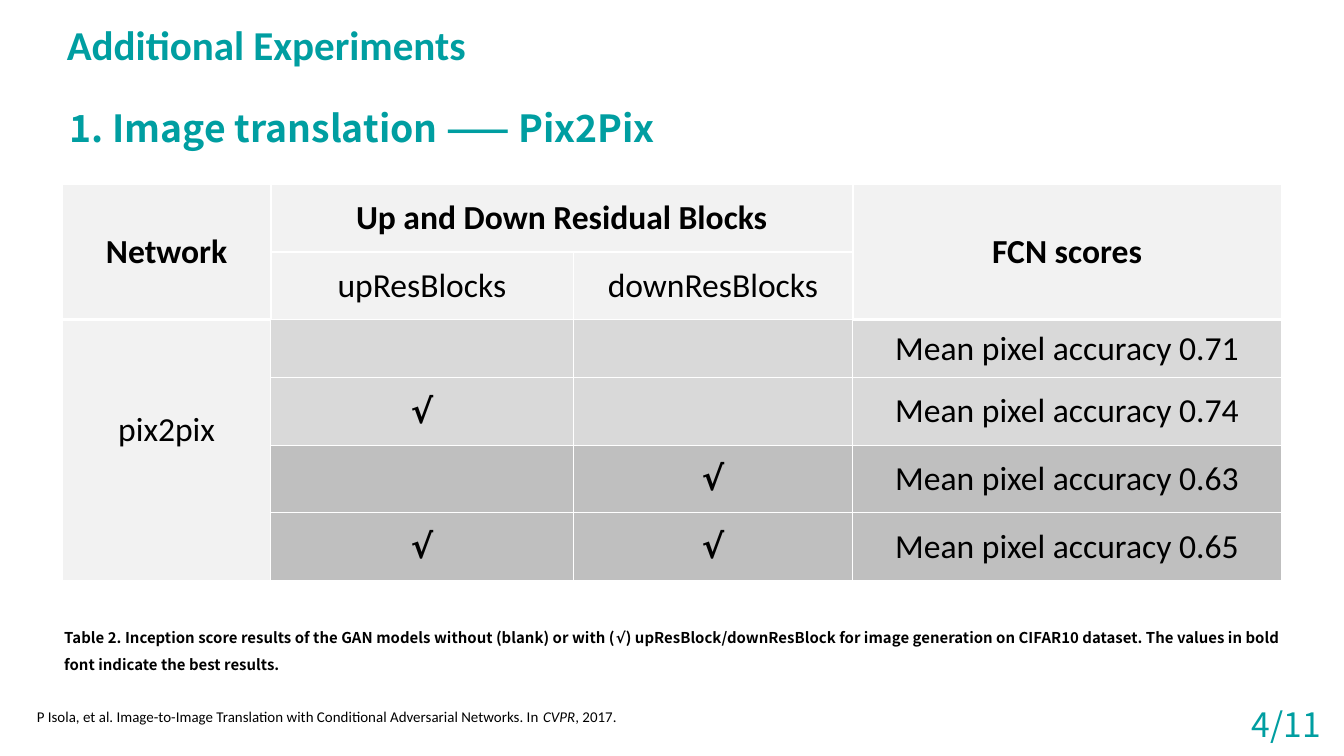
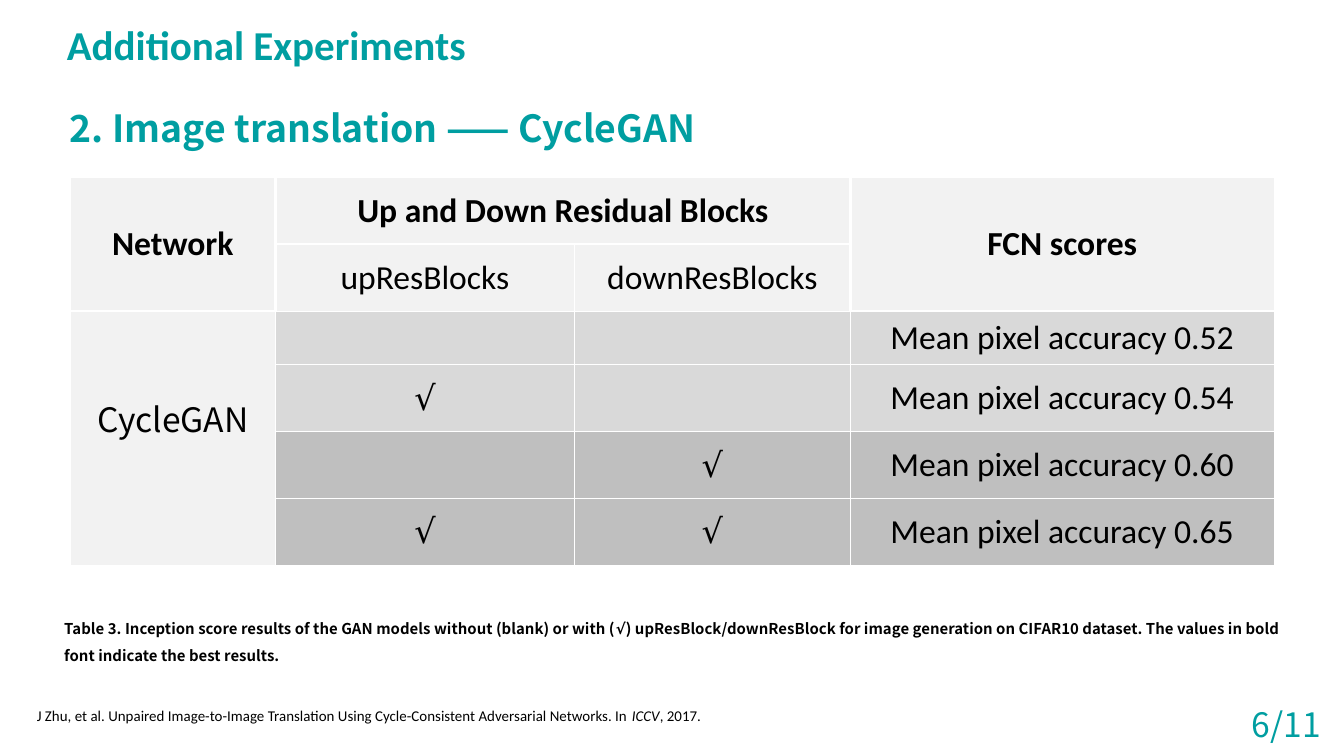
from dataclasses import dataclass
from itertools import product
from typing import NamedTuple

from lxml.etree import SubElement
from pptx import Presentation
from pptx.dml.color import RGBColor
from pptx.enum.text import MSO_ANCHOR, MSO_AUTO_SIZE, PP_ALIGN
from pptx.oxml.ns import qn
from pptx.util import Inches, Pt

# Shared style: lengths are columns and rows, each a hundredth of the slide
WIDTH = 10
HEIGHT = WIDTH * 9 / 16
COLORS = {"teal": "009EA1", "black": "000000", "white": "FFFFFF",
          "header": "F2F2F2", "light": "D9D9D9", "dark": "BFBFBF"}
BODY, SANS, TICK = "Calibri", "Noto Sans CJK SC", "Cabin"
CHECK = "√"
THIN, THICK = 0.45, 1.47
COLUMN_SHARES = (15.5, 22.5, 20.8, 31.9)
HEADER_ROWS, TABLE_ROWS = 2, 6
SHORT_ROW = HEADER_ROWS


class Box(NamedTuple):
    left: float
    top: float
    width: float
    height: float


class Style(NamedTuple):
    size: float
    font: str
    color: str = "black"
    bold: bool = False
    italic: bool = False


class Piece(NamedTuple):
    text: str
    style: Style


class Score(NamedTuple):
    up: bool
    down: bool
    accuracy: str


@dataclass
class Experiment:
    subtitle: str
    page: str
    network: str
    network_font: str
    bold_ticks: bool
    table_left: float
    table_top: float
    table_width: float
    row_height: float
    short_row_height: float
    accuracies: tuple[str, ...]
    table_number: int
    caption_top: float
    citation: str
    venue: str
    citation_top: float


HEADING = Style(22, BODY, "teal", True)
SUBHEADING = Style(20, SANS, "teal", True)
PAGE_NUMBER = Style(18, SANS, "teal")
CELL = Style(18, BODY)
CELL_BOLD = CELL._replace(bold=True)
CAPTION = Style(8, SANS, bold=True)
CITATION = Style(8, BODY)

EXPERIMENTS = (
    Experiment("1. Image translation —— Pix2Pix", "4/11", "pix2pix", BODY, True,
               4.65, 24.4, 90.7, 8.95, 7.64, ("0.71", "0.74", "0.63", "0.65"),
               2, 81.1,
               "P Isola, et al. Image-to-Image Translation with Conditional "
               "Adversarial Networks. In ", "CVPR", 92.7),
    Experiment("2. Image translation —— CycleGAN", "6/11", "CycleGAN", SANS, False,
               5.2, 23.46, 89.6, 8.84, 7.1, ("0.52", "0.54", "0.60", "0.65"),
               3, 79.9,
               "J Zhu, et al. Unpaired Image-to-Image Translation Using "
               "Cycle-Consistent Adversarial Networks. In ", "ICCV", 92.6),
)


def columns(count: float) -> int:
    return Inches(WIDTH * count / 100)


def rows(count: float) -> int:
    return Inches(HEIGHT * count / 100)


# Text
def format_run(run, style: Style) -> None:
    font = run.font
    font.size, font.name = Pt(style.size), style.font
    font.bold, font.italic = style.bold, style.italic
    font.color.rgb = RGBColor.from_string(COLORS[style.color])
    properties = run._r.get_or_add_rPr()
    SubElement(properties, qn("a:ea")).set("typeface", style.font)


def add_text(slide, box: Box, pieces: list[Piece], wrap: bool = True,
             justified: bool = False) -> None:
    shape = slide.shapes.add_textbox(columns(box.left), rows(box.top),
                                     columns(box.width), rows(box.height))
    frame = shape.text_frame
    frame.word_wrap = wrap
    frame.auto_size = MSO_AUTO_SIZE.SHAPE_TO_FIT_TEXT
    paragraph = frame.paragraphs[0]
    if justified:
        paragraph.alignment = PP_ALIGN.JUSTIFY
        paragraph.line_spacing = 1.5
        paragraph.space_after = Pt(12)
    for piece in pieces:
        run = paragraph.add_run()
        run.text = piece.text
        format_run(run, piece.style)


# Score table
def horizontal_line(line: int, column: int) -> float:
    inner = column in (1, 2)
    return THICK if line == (1 if inner else HEADER_ROWS) else THIN


def vertical_line(line: int, row: int) -> float:
    return THICK if row < HEADER_ROWS and line in (1, 3) else THIN


def set_borders(cell, row: int, column: int) -> None:
    widths = {"a:lnL": vertical_line(column, row),
              "a:lnR": vertical_line(column + 1, row),
              "a:lnT": horizontal_line(row, column),
              "a:lnB": horizontal_line(row + 1, column)}
    properties = cell._tc.get_or_add_tcPr()
    for tag, width in widths.items():
        line = SubElement(properties, qn(tag), w=str(Pt(width)))
        fill = SubElement(line, qn("a:solidFill"))
        SubElement(fill, qn("a:srgbClr"), val=COLORS["white"])


def cell_color(row: int, column: int) -> str:
    if row < HEADER_ROWS or column == 0:
        return "header"
    return "light" if row < HEADER_ROWS + 2 else "dark"


def set_cell(cell, piece: Piece) -> None:
    paragraph = cell.text_frame.paragraphs[0]
    paragraph.text = piece.text
    paragraph.alignment = PP_ALIGN.CENTER
    format_run(paragraph.runs[0], piece.style)


def add_score_table(slide, experiment: Experiment) -> None:
    heights = [experiment.short_row_height if row == SHORT_ROW
               else experiment.row_height for row in range(TABLE_ROWS)]
    table = slide.shapes.add_table(
        TABLE_ROWS, len(COLUMN_SHARES), columns(experiment.table_left),
        rows(experiment.table_top), columns(experiment.table_width),
        rows(sum(heights))).table
    table.first_row = table.horz_banding = False
    for column, share in zip(table.columns, COLUMN_SHARES):
        column.width = columns(experiment.table_width * share / sum(COLUMN_SHARES))
    for row, height in zip(table.rows, heights):
        row.height = rows(height)

    for row, column in product(range(TABLE_ROWS), range(len(COLUMN_SHARES))):
        cell = table.cell(row, column)
        set_borders(cell, row, column)
        cell.fill.solid()
        cell.fill.fore_color.rgb = RGBColor.from_string(COLORS[cell_color(row, column)])
        cell.vertical_anchor = MSO_ANCHOR.MIDDLE

    # Merged areas: first cell to last cell
    for first, last in (((0, 0), (1, 0)), ((0, 1), (0, 2)),
                        ((0, 3), (1, 3)), ((2, 0), (5, 0))):
        table.cell(*first).merge(table.cell(*last))

    # Headers and network name
    for column, label in ((0, "Network"), (1, "Up and Down Residual Blocks"),
                          (3, "FCN scores")):
        set_cell(table.cell(0, column), Piece(label, CELL_BOLD))
    for column, label in ((1, "upResBlocks"), (2, "downResBlocks")):
        set_cell(table.cell(1, column), Piece(label, CELL))
    network = table.cell(HEADER_ROWS, 0)
    set_cell(network, Piece(experiment.network,
                            CELL._replace(font=experiment.network_font)))
    network.margin_bottom = Inches(0.35)

    # Each combination of blocks with its score
    tick = Piece(CHECK, CELL._replace(font=TICK, bold=experiment.bold_ticks))
    combinations = product((False, True), repeat=2)
    scores = [Score(up, down, accuracy) for (down, up), accuracy
              in zip(combinations, experiment.accuracies)]
    for row, score in enumerate(scores, HEADER_ROWS):
        for column, used in ((1, score.up), (2, score.down)):
            if used:
                set_cell(table.cell(row, column), tick)
        set_cell(table.cell(row, 3),
                 Piece(f"Mean pixel accuracy {score.accuracy}", CELL))


# Slides
def add_experiment(presentation, experiment: Experiment) -> None:
    slide = presentation.slides.add_slide(presentation.slide_layouts[6])
    add_text(slide, Box(4.2, 10.1, 92.5, 10.7),
             [Piece(experiment.subtitle, SUBHEADING)], justified=True)
    add_text(slide, Box(4, 1.7, 31.7, 8.3),
             [Piece("Additional Experiments", HEADING)], wrap=False)
    add_text(slide, Box(92.15, 92.2, 8, 7.1),
             [Piece(experiment.page, PAGE_NUMBER)], wrap=False)
    add_score_table(slide, experiment)
    add_text(slide, Box(3.8, experiment.caption_top, 92.45, 8.9), [
        Piece(f"Table {experiment.table_number}. Inception score results of the GAN "
              "models without (blank) or with (", CAPTION),
        Piece(CHECK, CAPTION._replace(font=TICK)),
        Piece(") upResBlock/downResBlock for image generation on CIFAR10 dataset. "
              "The values in bold font indicate the best results.", CAPTION),
    ], justified=True)
    add_text(slide, Box(1.75, experiment.citation_top, 90.9, 4.3), [
        Piece(experiment.citation, CITATION),
        Piece(experiment.venue, CITATION._replace(italic=True)),
        Piece(", 2017.", CITATION),
    ])


def main() -> None:
    presentation = Presentation()
    presentation.slide_width, presentation.slide_height = Inches(WIDTH), Inches(HEIGHT)
    for experiment in EXPERIMENTS:
        add_experiment(presentation, experiment)
    presentation.save("out.pptx")


if __name__ == "__main__":
    main()
